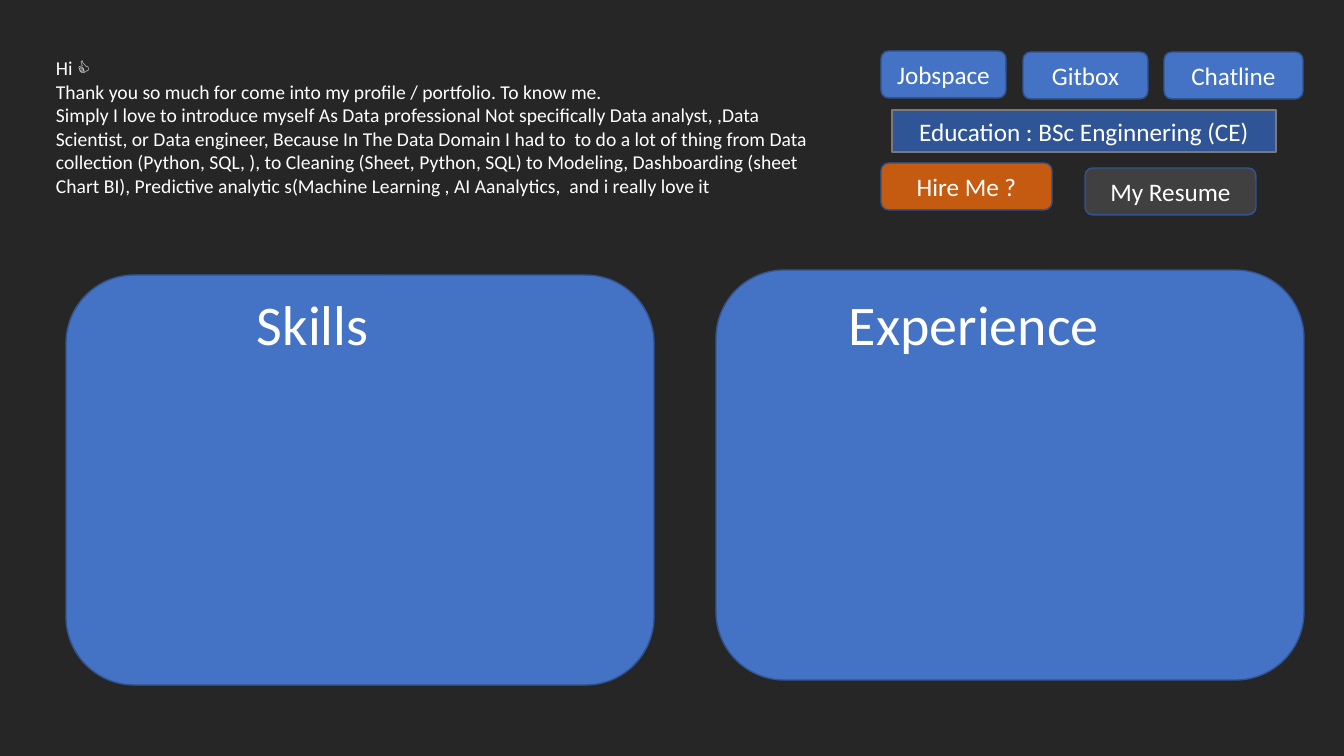
from pptx import Presentation
from pptx.dml.color import RGBColor
from pptx.enum.shapes import MSO_SHAPE
from pptx.enum.text import MSO_ANCHOR, PP_ALIGN
from pptx.util import Pt

ROUNDED, RECTANGLE = MSO_SHAPE.ROUNDED_RECTANGLE, MSO_SHAPE.RECTANGLE
MIDDLE, TOP = MSO_ANCHOR.MIDDLE, MSO_ANCHOR.TOP
CENTER, LEFT = PP_ALIGN.CENTER, PP_ALIGN.LEFT
EMU_PER_PX = 914400 / 100.8
COLORS = {
    "background": "262626", "blue": "4472C4", "outline": "325491",
    "navy": "2F5597", "gray": "7A7A7A", "orange": "C55A11",
    "charcoal": "404040", "white": "FFFFFF",
}


def emu(*lengths):
    return [round(length * EMU_PER_PX) for length in lengths]


def write(frame, lines, size, align, anchor):
    frame.word_wrap = True
    frame.vertical_anchor = anchor
    paragraph = frame.paragraphs[0]
    paragraph.alignment = align
    font_format = {"name": "Calibri", "size": Pt(size)}
    for number, line in enumerate(lines):
        if number:
            paragraph.add_line_break()
        run = paragraph.add_run()
        run.text = line
        for attribute, value in font_format.items():
            setattr(run.font, attribute, value)
        run.font.color.rgb = RGBColor.from_string(COLORS["white"])


# Slide and background
prs = Presentation()
prs.slide_width, prs.slide_height = emu(1344, 756)
slide = prs.slides.add_slide(prs.slide_layouts[6])
slide.background.fill.solid()
slide.background.fill.fore_color.rgb = RGBColor.from_string(COLORS["background"])

# Link buttons, education bar and the two panels
blocks = [
    ("Jobspace", (881, 51, 125, 47), ROUNDED, "blue", "outline"),
    ("Gitbox", (1023, 52, 125, 47), ROUNDED, "blue", "outline"),
    ("Chatline", (1164, 52, 139, 47), ROUNDED, "blue", "outline"),
    ("Hire Me ?", (881, 163, 171, 47), ROUNDED, "orange", "outline"),
    ("My Resume", (1085, 168, 171, 47), ROUNDED, "charcoal", "outline"),
    ("Education : BSc Enginnering (CE)", (892, 110, 384, 42), RECTANGLE, "navy", "gray"),
    (None, (66, 275, 588, 410), ROUNDED, "blue", "outline"),
    (None, (716, 270, 588, 410), ROUNDED, "blue", "outline"),
]
for label, box, outline_kind, fill, line in blocks:
    block = slide.shapes.add_shape(outline_kind, *emu(*box))
    block.shadow.inherit = False
    block.fill.solid()
    block.fill.fore_color.rgb = RGBColor.from_string(COLORS[fill])
    block.line.color.rgb = RGBColor.from_string(COLORS[line])
    block.line.width = Pt(1)
    if label:
        write(block.text_frame, [label], 18, CENTER, MIDDLE)

# Introduction and panel headings
introduction = [
    "Hi 👍",
    "Thank you so much for come into my profile / portfolio. To know me.",
    "Simply I love to introduce myself As Data professional Not specifically "
    "Data analyst, ,Data Scientist, or Data engineer, Because In The Data Domain "
    "I had to  to do a lot of thing from Data collection (Python, SQL, ), to "
    "Cleaning (Sheet, Python, SQL) to Modeling, Dashboarding (sheet Chart BI), "
    "Predictive analytic s(Machine Learning , AI Aanalytics,  and i really love it",
]
passages = [
    (introduction, (46, 51, 776, 183), 14),
    (["Skills"], (247, 285, 275, 78), 40),
    (["Experience"], (839, 285, 275, 78), 40),
]
for lines, box, size in passages:
    passage = slide.shapes.add_textbox(*emu(*box))
    write(passage.text_frame, lines, size, LEFT, TOP)

prs.save("out.pptx")
